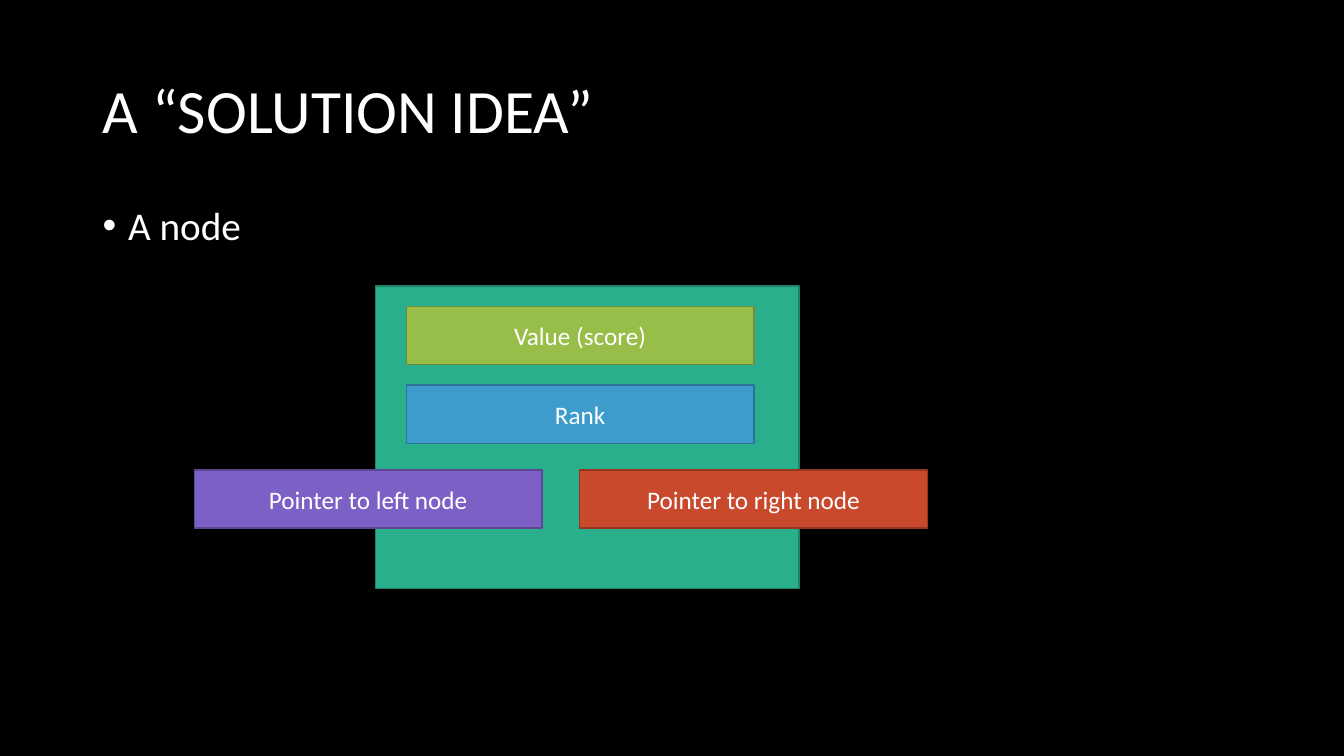
from dataclasses import dataclass

from lxml import etree
from pptx import Presentation
from pptx.dml.color import RGBColor
from pptx.enum.shapes import MSO_SHAPE
from pptx.enum.text import MSO_ANCHOR, PP_ALIGN
from pptx.oxml.ns import qn
from pptx.util import Cm, Pt

RECT = MSO_SHAPE.RECTANGLE
TOP, MIDDLE = MSO_ANCHOR.TOP, MSO_ANCHOR.MIDDLE
CENTER = PP_ALIGN.CENTER
FONT = "Calibri"
BLACK, WHITE = "000000", "FFFFFF"

TEXT_LEFT, TEXT_WIDTH = 2.34, 29.21
FIELD_WIDTH, FIELD_HEIGHT = 8.76, 1.47
INNER_LEFT = 10.24
POINTER_TOP = 11.84


@dataclass
class Box:
    """A filled rectangle, in centimetres, with an optional label."""
    left: float
    top: float
    fill: str
    line: str
    label: str = ""
    width: float = FIELD_WIDTH
    height: float = FIELD_HEIGHT


BOXES = [
    Box(9.47, 7.21, "29AF8C", "1E8168", width=10.67, height=7.62),
    Box(INNER_LEFT, 7.72, "97BE49", "708D36", "Value (score)"),
    Box(INNER_LEFT, 9.7, "3D9CCC", "2D7397", "Rank"),
    Box(4.9, POINTER_TOP, "7C60C6", "5C4792", "Pointer to left node"),
    Box(14.61, POINTER_TOP, "C9492C", "953621", "Pointer to right node"),
]


def paint(fill, color: str) -> None:
    """Make a fill solid in the given hex colour."""
    fill.solid()
    fill.fore_color.rgb = RGBColor.from_string(color)


def add_run(para, text: str, size: int) -> None:
    """Add one white run to a paragraph."""
    run = para.add_run()
    run.text = text
    run.font.name = FONT
    run.font.size = Pt(size)
    paint(run.font.fill, WHITE)


def add_text(slide, text: str, top: float, height: float, size: int, anchor):
    """Add a full-width text box and return its paragraph."""
    box = slide.shapes.add_textbox(
        Cm(TEXT_LEFT), Cm(top), Cm(TEXT_WIDTH), Cm(height))
    frame = box.text_frame
    frame.word_wrap = True
    frame.vertical_anchor = anchor
    para = frame.paragraphs[0]
    para.line_spacing = 0.9
    add_run(para, text, size)
    return para


def add_bullet(para, indent: int) -> None:
    """Give a paragraph a round bullet and a hanging indent."""
    props = para._p.get_or_add_pPr()
    props.set("marL", str(indent))
    props.set("indent", str(-indent))
    etree.SubElement(props, qn("a:buFont")).set("typeface", "Arial")
    etree.SubElement(props, qn("a:buChar")).set("char", "•")


def add_box(slide, box: Box) -> None:
    """Draw one rectangle with its label."""
    shape = slide.shapes.add_shape(
        RECT, Cm(box.left), Cm(box.top), Cm(box.width), Cm(box.height))
    shape.shadow.inherit = False
    paint(shape.fill, box.fill)
    paint(shape.line.fill, box.line)
    shape.line.width = Pt(1)
    if box.label:
        frame = shape.text_frame
        frame.word_wrap = True
        frame.vertical_anchor = MIDDLE
        para = frame.paragraphs[0]
        para.alignment = CENTER
        add_run(para, box.label, 18)


def main() -> None:
    """Build and save the slide."""
    deck = Presentation()
    deck.slide_width, deck.slide_height = Cm(33.87), Cm(19.05)
    slide = deck.slides.add_slide(deck.slide_layouts[6])
    paint(slide.background.fill, BLACK)

    add_text(slide, "A “SOLUTION IDEA”", 1.02, 3.68, 44, MIDDLE)
    point = add_text(slide, "A node", 5.08, 12.09, 28, TOP)
    point.space_before = Pt(10)
    add_bullet(point, Cm(0.64))

    for box in BOXES:
        add_box(slide, box)
    deck.save("out.pptx")


main()
